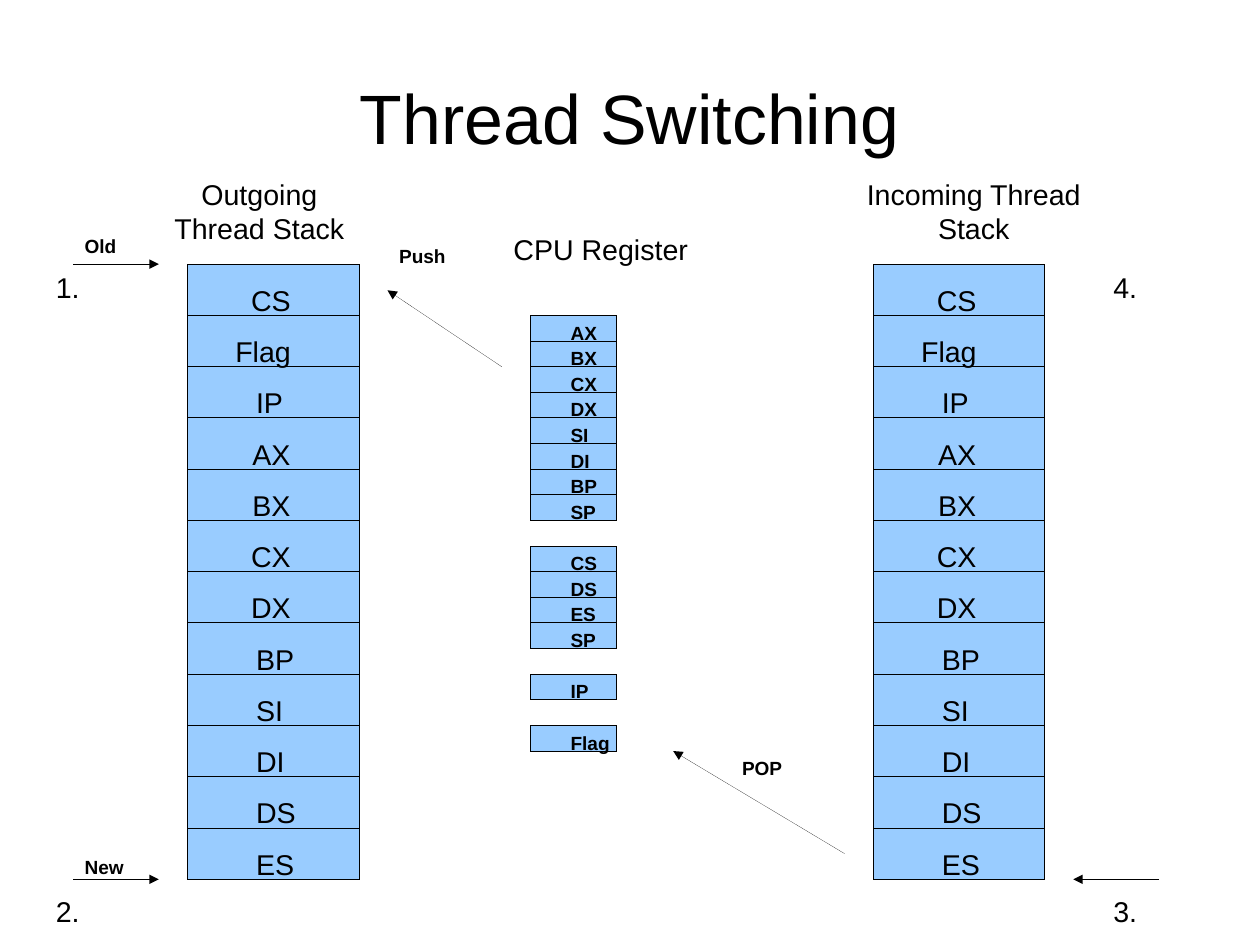
import lxml.etree
import pptx
import pptx.dml.color
import pptx.enum.shapes
import pptx.enum.text
import pptx.oxml
import pptx.oxml.ns
import pptx.util

Cm = pptx.util.Cm
ALIGN = pptx.enum.text.PP_ALIGN

COLOURS = {"ink": "000000", "cell": "99CCFF"}
FONT = "Arial"

# Lengths in centimetres
STACK_TOP, STACK_HEIGHT, STACK_WIDTH = 5.87, 13.67, 3.81
OUTGOING_LEFT, INCOMING_LEFT = 4.17, 19.41
REGISTER_LEFT, REGISTER_WIDTH = 11.79, 1.91

# Saved values from top to bottom, each with its label's indent
STACK_LABELS = [
    ("CS", 1.16), ("Flag", 0.81), ("IP", 1.27), ("AX", 1.19),
    ("BX", 1.19), ("CX", 1.16), ("DX", 1.16), ("BP", 1.27),
    ("SI", 1.27), ("DI", 1.27), ("DS", 1.27), ("ES", 1.27),
]
STACK_ROW = STACK_HEIGHT / len(STACK_LABELS)

# Register rows are half as high; banks are parted by one free row
REGISTER_ROW = STACK_ROW / 2
REGISTER_TOP = STACK_TOP + STACK_ROW
REGISTER_BANKS = [
    ["AX", "BX", "CX", "DX", "SI", "DI", "BP", "SP"],
    ["CS", "DS", "ES", "SP"],
    ["IP"],
    ["Flag"],
]


def colour(name):
    return pptx.dml.color.RGBColor.from_string(COLOURS[name])


def add_label(slide, text, left, top, width, height, size=18, bold=False,
              align=ALIGN.LEFT):
    label = slide.shapes.add_textbox(Cm(left), Cm(top), Cm(width), Cm(height))
    frame = label.text_frame
    frame.text = text
    frame.word_wrap = True
    for paragraph in frame.paragraphs:
        paragraph.alignment = align
        for run in paragraph.runs:
            run.font.name = FONT
            run.font.size = pptx.util.Pt(size)
            run.font.bold = bold
            run.font.color.rgb = colour("ink")
    return frame


def set_hairline(line):
    """Write a zero width, which the width property would leave out."""
    line.color.rgb = colour("ink")
    outline = line._get_or_add_ln()
    outline.set("w", "0")
    return outline


def add_line(slide, x1, y1, x2, y2, arrow=False):
    line = slide.shapes.add_connector(
        pptx.enum.shapes.MSO_CONNECTOR.STRAIGHT, Cm(x1), Cm(y1), Cm(x2), Cm(y2))
    outline = set_hairline(line.line)
    if arrow:
        lxml.etree.SubElement(outline, pptx.oxml.ns.qn("a:tailEnd"),
                              type="triangle")
    lxml.etree.SubElement(line._element.spPr, pptx.oxml.ns.qn("a:effectLst"))


def add_cells(slide, left, top, width, row, count):
    """Draw a column of cells as one box with dividing lines."""
    column = slide.shapes.add_shape(
        pptx.enum.shapes.MSO_SHAPE.RECTANGLE,
        Cm(left), Cm(top), Cm(width), Cm(row * count))
    column.shadow.inherit = False
    column.fill.solid()
    column.fill.fore_color.rgb = colour("cell")
    set_hairline(column.line)
    for index in range(1, count):
        y = top + index * row
        add_line(slide, left, y, left + width, y)


def add_stack(slide, left):
    add_cells(slide, left, STACK_TOP, STACK_WIDTH, STACK_ROW, len(STACK_LABELS))
    for index, (name, indent) in enumerate(STACK_LABELS):
        add_label(slide, name, left + indent,
                  STACK_TOP + index * STACK_ROW + 0.29, 2.1, 0.95)


def add_registers(slide):
    top = REGISTER_TOP
    for bank in REGISTER_BANKS:
        add_cells(slide, REGISTER_LEFT, top, REGISTER_WIDTH, REGISTER_ROW,
                  len(bank))
        for index, name in enumerate(bank):
            add_label(slide, name, REGISTER_LEFT + 0.64,
                      top + index * REGISTER_ROW, 1.73, 0.74, 12, True)
        top += (len(bank) + 1) * REGISTER_ROW


def main():
    deck = pptx.Presentation()
    deck.slide_width, deck.slide_height = Cm(28), Cm(21)
    slide = deck.slides.add_slide(deck.slide_layouts[6])

    # Title and column headings
    title = add_label(slide, "Thread Switching", 1.4, 0.84, 25.2, 3.5, 44,
                      align=ALIGN.CENTER)
    title.vertical_anchor = pptx.enum.text.MSO_ANCHOR.MIDDLE
    title.margin_left = title.margin_right = 0
    title.margin_top = title.margin_bottom = 0
    add_label(slide, "Outgoing Thread Stack", 3.54, 3.81, 4.45, 1.68,
              align=ALIGN.CENTER)
    add_label(slide, "Incoming Thread\nStack", 18.78, 3.81, 5.72, 1.68,
              align=ALIGN.CENTER)
    add_label(slide, "CPU Register", 11.16, 5.02, 4.45, 0.97)

    # Stacks and registers
    add_stack(slide, OUTGOING_LEFT)
    add_registers(slide)
    add_stack(slide, INCOMING_LEFT)

    # Stack pointers and data transfers
    stack_bottom = STACK_TOP + STACK_HEIGHT
    for x1, y1, x2, y2 in [
        (1.63, STACK_TOP, 3.53, STACK_TOP),
        (1.63, stack_bottom, 3.53, stack_bottom),
        (25.76, stack_bottom, 23.85, stack_bottom),
        (11.15, 8.15, 8.61, 6.45),
        (18.77, 18.97, 14.96, 16.69),
    ]:
        add_line(slide, x1, y1, x2, y2, arrow=True)
    for text, left, top in [
        ("Old", 1.63, 5.08), ("New", 1.63, 18.88),
        ("Push", 8.62, 5.31), ("POP", 16.24, 16.69),
    ]:
        add_label(slide, text, left, top, 1.91, 0.74, 12, True)

    # Step numbers
    for text, left, top in [
        ("1.", 0.99, 5.87), ("2.", 0.99, 19.74),
        ("3.", 24.49, 19.74), ("4.", 24.49, 5.87),
    ]:
        add_label(slide, text, left, top, 1.27, 0.97)

    deck.save("out.pptx")


if __name__ == "__main__":
    main()
